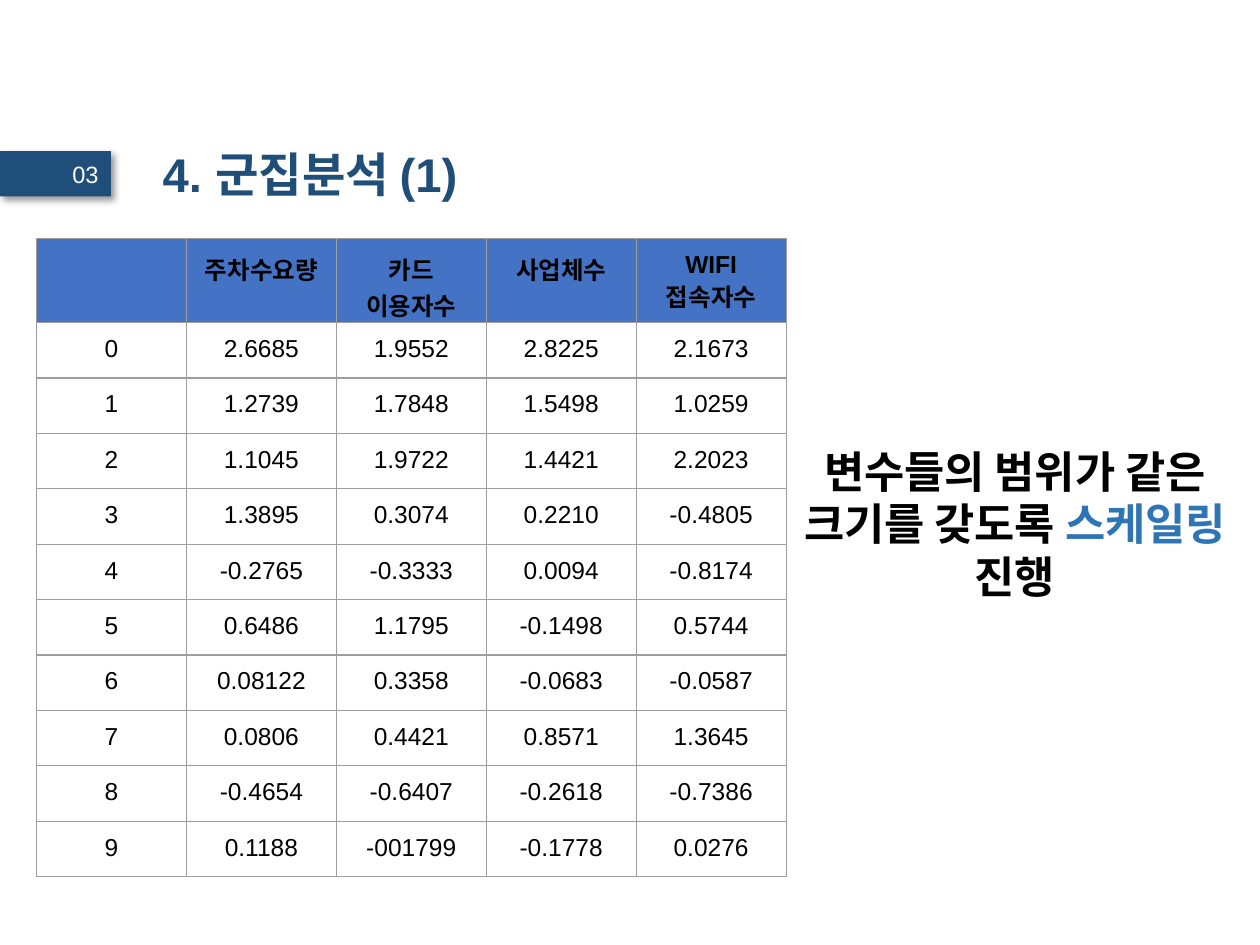
import dataclasses

import lxml.etree
import pptx
import pptx.dml.color
import pptx.enum.shapes
import pptx.enum.text
import pptx.oxml.ns
import pptx.util

Inches, Pt = pptx.util.Inches, pptx.util.Pt
qn = pptx.oxml.ns.qn
ALIGN = pptx.enum.text.PP_ALIGN
MIDDLE = pptx.enum.text.MSO_ANCHOR.MIDDLE


@dataclasses.dataclass(frozen=True)
class Theme:
    ink: str = "000000"
    white: str = "FFFFFF"
    title: str = "1F4E79"
    badge: str = "1E4E79"
    accent: str = "2E75B5"
    header: str = "4472C4"
    border: str = "9E9E9E"
    font: str = "Arial"
    note_font: str = "Calibri"
    title_size: float = 27
    note_size: float = 25
    cell_size: float = 14
    badge_size: float = 13.5
    border_width: float = 0.75


THEME = Theme()
WIDTH, HEIGHT = 10, 7.5
INSET = 0.1

TITLE = "4. 군집분석 (1)"
BADGE = "03"
NOTE = [
    ("변수들의 범위가 같은 크기를 갖도록 ", THEME.ink),
    ("스케일링", THEME.accent),
    (" 진행", THEME.ink),
]
HEADER = ["", "주차수요량", "카드\n이용자수", "사업체수", "WIFI 접속자수"]
SCORES = [
    ("2.6685", "1.9552", "2.8225", "2.1673"),
    ("1.2739", "1.7848", "1.5498", "1.0259"),
    ("1.1045", "1.9722", "1.4421", "2.2023"),
    ("1.3895", "0.3074", "0.2210", "-0.4805"),
    ("-0.2765", "-0.3333", "0.0094", "-0.8174"),
    ("0.6486", "1.1795", "-0.1498", "0.5744"),
    ("0.08122", "0.3358", "-0.0683", "-0.0587"),
    ("0.0806", "0.4421", "0.8571", "1.3645"),
    ("-0.4654", "-0.6407", "-0.2618", "-0.7386"),
    ("0.1188", "-001799", "-0.1778", "0.0276"),
]

TITLE_AREA = (1.19, 1.07, 3.81, 0.67)
BADGE_AREA = (0, 1.2, 0.88, 0.36)
NOTE_AREA = (6.15, 3.43, 3.81, 1.8)
TABLE_LEFT, TABLE_TOP = 0.29, 1.89
COLUMN_WIDTH, HEADER_HEIGHT, ROW_HEIGHT = 1.19, 0.67, 0.44


def rgb(value):
    return pptx.dml.color.RGBColor.from_string(value)


def style(font, size, color, bold=False, name=THEME.font):
    font.name, font.size, font.bold = name, Pt(size), bold
    font.color.rgb = rgb(color)


def set_margins(target, vertical=INSET):
    target.margin_left = target.margin_right = Inches(INSET)
    target.margin_top = target.margin_bottom = Inches(vertical)


def add_color(parent, value):
    fill = lxml.etree.SubElement(parent, qn("a:solidFill"))
    return lxml.etree.SubElement(fill, qn("a:srgbClr"), val=value)


def add_title(page):
    box = page.shapes.title
    box.left, box.top, box.width, box.height = map(Inches, TITLE_AREA)
    frame = box.text_frame
    frame.text = TITLE
    frame.auto_size = pptx.enum.text.MSO_AUTO_SIZE.NONE
    frame.vertical_anchor = MIDDLE
    set_margins(frame, 0.05)
    para = frame.paragraphs[0]
    para.alignment, para.line_spacing = ALIGN.LEFT, 0.9
    style(para.font, THEME.title_size, THEME.title, True)


def add_badge(page):
    box = page.shapes.add_shape(
        pptx.enum.shapes.MSO_SHAPE.RECTANGLE, *map(Inches, BADGE_AREA))
    box.fill.solid()
    box.fill.fore_color.rgb = rgb(THEME.badge)
    box.line.fill.background()
    box.shadow.inherit = False
    effects = box.element.spPr.find(qn("a:effectLst"))
    shadow = lxml.etree.SubElement(
        effects, qn("a:outerShdw"), blurRad=str(Pt(4)), dist=str(Pt(3)),
        dir=str(45 * 60000), algn="tl", rotWithShape="0")
    color = lxml.etree.SubElement(shadow, qn("a:srgbClr"), val=THEME.ink)
    lxml.etree.SubElement(color, qn("a:alpha"), val="40000")
    frame = box.text_frame
    frame.text = BADGE
    frame.vertical_anchor = MIDDLE
    set_margins(frame, 0.05)
    para = frame.paragraphs[0]
    para.alignment = ALIGN.RIGHT
    style(para.font, THEME.badge_size, THEME.white)


def add_note(page):
    frame = page.shapes.add_textbox(*map(Inches, NOTE_AREA)).text_frame
    frame.word_wrap = True
    set_margins(frame)
    para = frame.paragraphs[0]
    para.alignment = ALIGN.CENTER
    for text, color in NOTE:
        span = para.add_run()
        span.text = text
        style(span.font, THEME.note_size, color, True, THEME.note_font)


def format_cell(cell, text, is_header):
    set_margins(cell)
    cell.text = text
    for para in cell.text_frame.paragraphs:
        para.alignment = ALIGN.CENTER
        style(para.font, THEME.cell_size, THEME.ink, is_header)
    properties = cell._tc.get_or_add_tcPr()
    for side in ("a:lnL", "a:lnR", "a:lnT", "a:lnB"):
        line = lxml.etree.SubElement(
            properties, qn(side), w=str(Pt(THEME.border_width)))
        add_color(line, THEME.border)
    if is_header:
        cell.fill.solid()
        cell.fill.fore_color.rgb = rgb(THEME.header)
    else:
        cell.fill.background()


def add_scores(page):
    rows = [HEADER] + [(str(i), *values) for i, values in enumerate(SCORES)]
    heights = [HEADER_HEIGHT] + [ROW_HEIGHT] * len(SCORES)
    table = page.shapes.add_table(
        len(rows), len(HEADER), Inches(TABLE_LEFT), Inches(TABLE_TOP),
        Inches(COLUMN_WIDTH * len(HEADER)), Inches(sum(heights))).table
    table.horz_banding = False
    for column in table.columns:
        column.width = Inches(COLUMN_WIDTH)
    for r, (texts, height) in enumerate(zip(rows, heights)):
        table.rows[r].height = Inches(height)
        for c, text in enumerate(texts):
            format_cell(table.cell(r, c), text, r == 0)


def main():
    deck = pptx.Presentation()
    deck.slide_width, deck.slide_height = Inches(WIDTH), Inches(HEIGHT)
    page = deck.slides.add_slide(deck.slide_layouts[5])
    add_note(page)
    add_title(page)
    add_badge(page)
    add_scores(page)
    deck.save("out.pptx")


if __name__ == "__main__":
    main()
